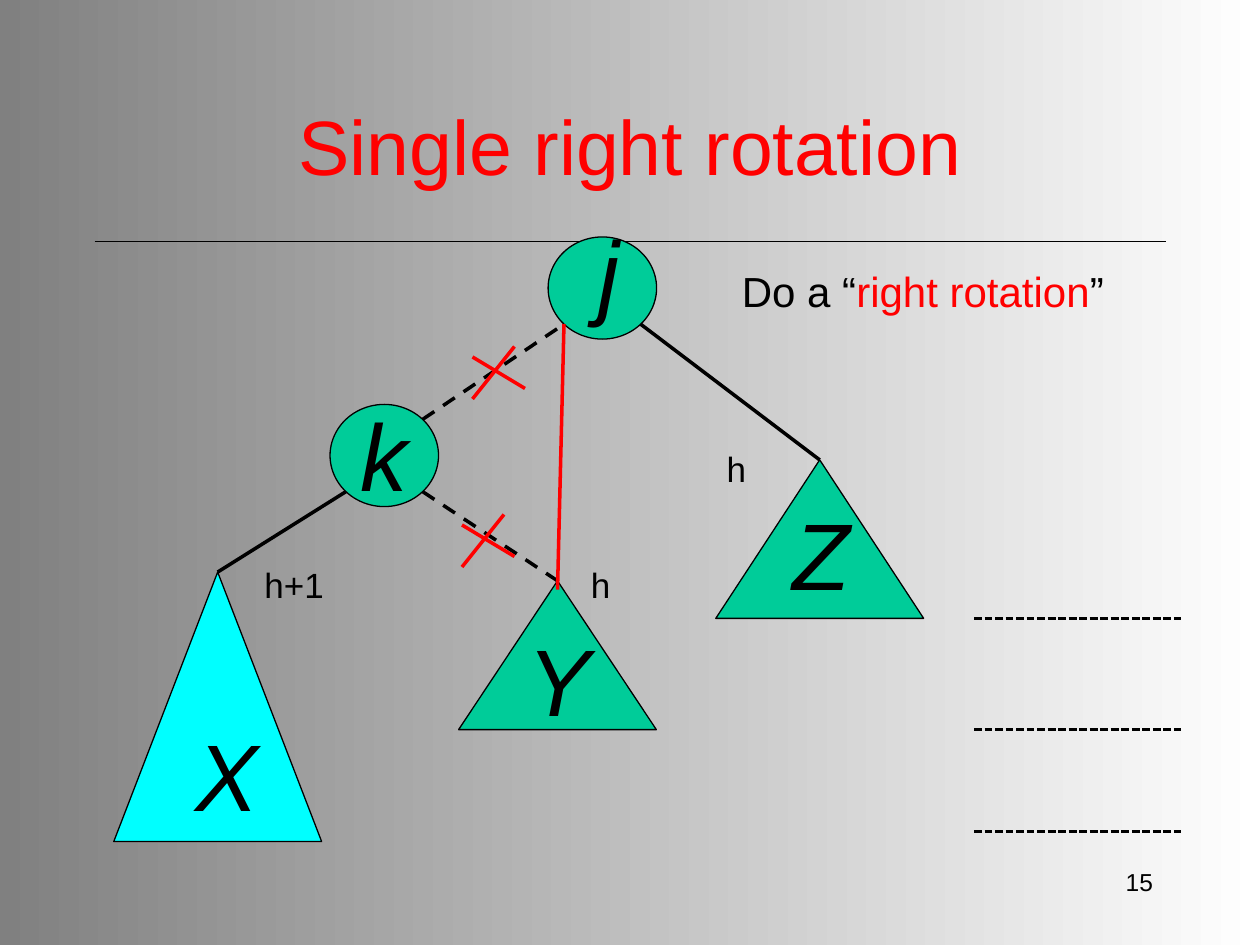
from dataclasses import dataclass
from math import sqrt

from pptx import Presentation
from pptx.dml.color import RGBColor
from pptx.enum.dml import MSO_LINE_DASH_STYLE as Dash
from pptx.enum.shapes import MSO_AUTO_SHAPE_TYPE as Shape, MSO_CONNECTOR as Connector
from pptx.enum.text import MSO_ANCHOR as Anchor, MSO_AUTO_SIZE as AutoSize, PP_ALIGN as Align
from pptx.oxml.ns import qn
from pptx.util import Pt


@dataclass(frozen=True)
class Theme:
    font: str = "Arial"
    ink: RGBColor = RGBColor(0x00, 0x00, 0x00)
    accent: RGBColor = RGBColor(0xFF, 0x00, 0x00)
    node: RGBColor = RGBColor(0x00, 0xCC, 0x99)
    deep_subtree: RGBColor = RGBColor(0x00, 0xFF, 0xFF)
    light: RGBColor = RGBColor(0xFF, 0xFF, 0xFF)
    dark: RGBColor = RGBColor(0x80, 0x80, 0x80)
    title: int = 44
    letter: int = 54
    note: int = 24
    height: int = 20
    number: int = 14
    outline: float = 0.75
    dots: float = 1.5
    edge: float = 2


@dataclass(frozen=True)
class Box:
    left: float
    top: float
    width: float
    height: float

    def inner(self, left, top, width, height):
        """Turn a box relative to this one into a box on the page."""
        return Box(self.left + left, self.top + top, width, height)

    def lengths(self):
        return Pt(self.left), Pt(self.top), Pt(self.width), Pt(self.height)


THEME = Theme()


def style_run(span, size, color=THEME.ink, italic=False):
    span.font.name = THEME.font
    span.font.size = Pt(size)
    span.font.color.rgb = color
    span.font.italic = italic


def add_text(page, box, parts, size, align=Align.LEFT, italic=False, wrap=True,
             fit=AutoSize.SHAPE_TO_FIT_TEXT):
    """Add a one-line text box from (text, colour) parts."""
    frame = page.shapes.add_textbox(*box.lengths()).text_frame
    frame.word_wrap = wrap
    frame.auto_size = fit
    para = frame.paragraphs[0]
    para.alignment = align
    for text, color in parts:
        span = para.add_run()
        span.text = text
        style_run(span, size, color, italic)


def add_line(page, start, end, width=THEME.edge, color=THEME.ink, dash=None):
    ends = [Pt(value) for value in (*start, *end)]
    line = page.shapes.add_connector(Connector.STRAIGHT, *ends)
    line.line.width = Pt(width)
    line.line.color.rgb = color
    if dash is not None:
        line.line.dash_style = dash
    properties = line._element.spPr
    properties.append(properties.makeelement(qn("a:effectLst"), {}))
    return line


def add_solid(page, kind, box, fill):
    solid = page.shapes.add_shape(kind, *box.lengths())
    solid.shadow.inherit = False
    solid.fill.solid()
    solid.fill.fore_color.rgb = fill
    solid.line.color.rgb = THEME.ink
    solid.line.width = Pt(THEME.outline)
    return solid


def lower_point(box, side):
    """Point on an ellipse at 45 degrees below its middle; side is -1 or 1."""
    reach = sqrt(0.5)
    return (box.left + box.width / 2 * (1 + side * reach),
            box.top + box.height / 2 * (1 + reach))


def apex(box):
    return box.left + box.width / 2, box.top


def set_background(page):
    fill = page.background.fill
    fill.gradient()
    fill.gradient_angle = 180
    for stop, color in zip(fill.gradient_stops, (THEME.light, THEME.dark)):
        stop.color.rgb = color


def place_title(page, box, text):
    title = page.shapes.title
    title.left, title.top, title.width, title.height = box.lengths()
    frame = title.text_frame
    frame.text = text
    frame.auto_size = AutoSize.NONE
    frame.vertical_anchor = Anchor.MIDDLE
    para = frame.paragraphs[0]
    para.alignment = Align.CENTER
    style_run(para.runs[0], THEME.title, THEME.accent)


def draw_cross(page, box):
    left, top, right, bottom = box.left, box.top, box.left + box.width, box.top + box.height
    for start, end in (((left, top + 6), (right, bottom - 6)),
                       ((right - 6, top), (left, bottom))):
        add_line(page, start, end, color=THEME.accent)


def draw_tree(page, box):
    root = box.inner(248.2, 16.4, 62, 58.4)
    child = box.inner(123.6, 112.1, 62, 58.4)
    subtree_x = box.inner(0, 207.9, 118.8, 154)
    subtree_y = box.inner(197.1, 212.9, 113, 85)
    subtree_z = box.inner(344, 143.8, 118.8, 90.6)

    for node in (root, child):
        add_solid(page, Shape.OVAL, node, THEME.node)
    triangles = [
        add_solid(page, Shape.ISOSCELES_TRIANGLE, subtree, fill)
        for subtree, fill in ((subtree_x, THEME.deep_subtree),
                              (subtree_y, THEME.node), (subtree_z, THEME.node))
    ]

    for node, side, subtree, triangle, dash in (
        (child, -1, subtree_x, triangles[0], None),
        (child, 1, subtree_y, triangles[1], Dash.DASH),
        (root, 1, subtree_z, triangles[2], None),
    ):
        edge = add_line(page, lower_point(node, side), apex(subtree), dash=dash)
        edge.end_connect(triangle, 0)

    root_left = lower_point(root, -1)
    child_x, child_y = lower_point(child, 1)
    child_top_right = child_x, 2 * child.top + child.height - child_y
    add_line(page, child_top_right, root_left, dash=Dash.DASH)
    apex_x, apex_y = apex(subtree_y)
    add_line(page, root_left, (apex_x, apex_y + 5), color=THEME.accent)

    for left, top in ((205, 79), (199, 175)):
        draw_cross(page, box.inner(left, top, 30, 30))

    for letter, left, top in (("j", 270, 0), ("k", 133.7, 104.2), ("X", 39.4, 287.1),
                              ("Y", 229.5, 233.1), ("Z", 380.7, 161.1)):
        add_text(page, box.inner(left, top, 38.2, 72), [(letter, THEME.ink)],
                 THEME.letter, italic=True)
    for text, left, top, width in (("h", 343.2, 133, 25.2), ("h+1", 79, 199.2, 48.2),
                                   ("h", 265.5, 199.2, 25.2)):
        add_text(page, box.inner(left, top, width, 31.7), [(text, THEME.ink)],
                 THEME.height, wrap=False)


def draw_level_lines(page, box):
    for drop in (0, 63.4, box.height):
        level = box.top + drop
        add_line(page, (box.left, level), (box.left + box.width, level),
                 THEME.dots, dash=Dash.SQUARE_DOT)


def build_rotation_slide(deck):
    page = deck.slides.add_slide(deck.slide_layouts[5])
    set_background(page)
    place_title(page, Box(52.6, 51, 615, 63.4), "Single right rotation")
    add_line(page, (54, 138), (666, 138), THEME.outline)
    draw_tree(page, Box(65, 119, 463, 362))
    draw_level_lines(page, Box(556.6, 353.5, 118, 121.7))
    add_text(page, Box(416.9, 148.3, 221, 36),
             [("Do a “", THEME.ink), ("right rotation", THEME.accent), ("”", THEME.ink)],
             THEME.note, wrap=False)
    add_text(page, Box(516, 492, 150, 36), [("15", THEME.ink)], THEME.number,
             align=Align.RIGHT, fit=AutoSize.NONE)


def main():
    deck = Presentation()
    deck.slide_width, deck.slide_height = Pt(720), Pt(540)
    build_rotation_slide(deck)
    deck.save("out.pptx")


if __name__ == "__main__":
    main()
